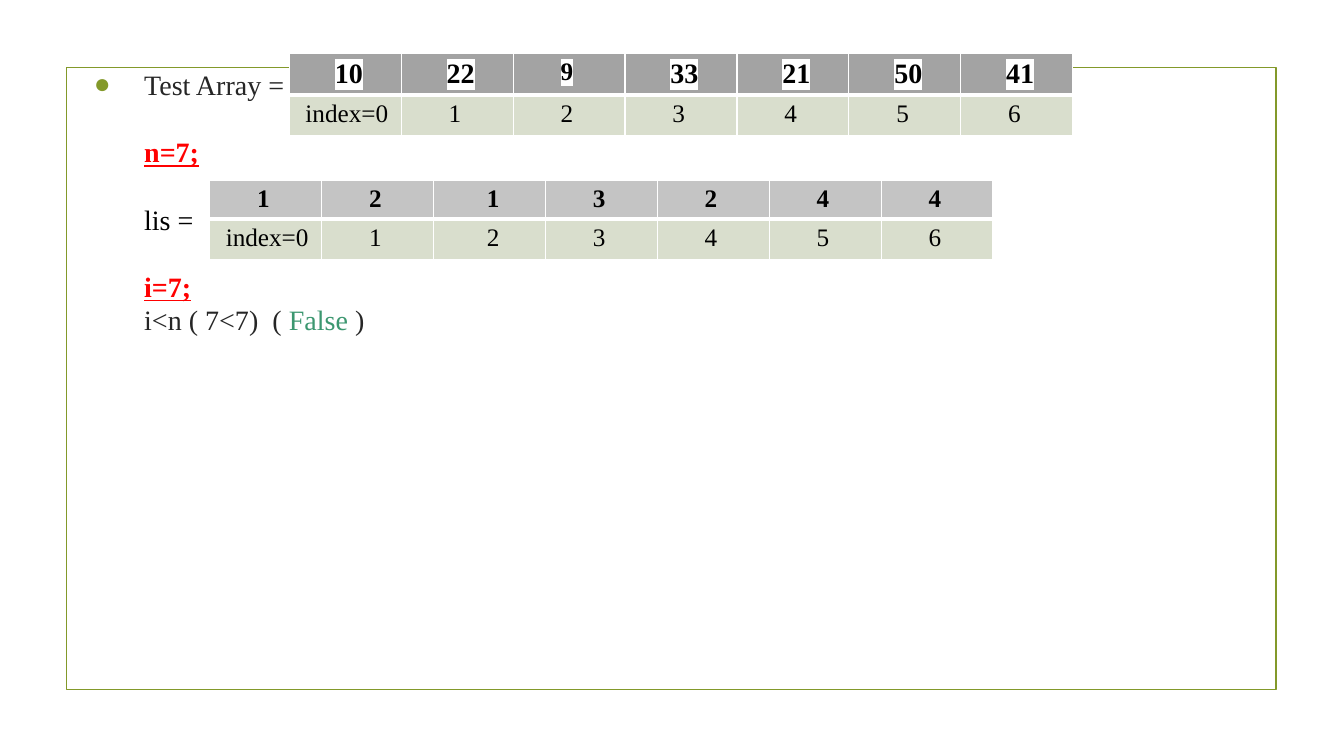
from lxml import etree
from pptx import Presentation
from pptx import util as u
from pptx.dml.color import RGBColor
from pptx.enum import shapes, text
from pptx.oxml.ns import qn

FONT = "Times New Roman"
GREEN, INK, BLACK, WHITE, RED = "83992A", "262626", "000000", "FFFFFF", "FF0000"
COLUMN, ROW = 1.11, 0.41
DIGIT_INDENT = 0.37


def color(value):
    return RGBColor.from_string(value)


def child(parent, tag, **attributes):
    return etree.SubElement(parent, qn(tag), attributes)


def add_span(para, words, size=20, ink=BLACK, bold=False, underline=False, highlight=None):
    span = para.add_run()
    span.text = words
    font = span.font
    font.size, font.bold, font.underline = u.Pt(size), bold, underline
    font.color.rgb = color(ink)
    if highlight:
        mark = child(span._r.get_or_add_rPr(), "a:highlight")
        child(mark, "a:srgbClr", val=highlight)
    font.name = FONT


def set_border(cell, side, width):
    line = child(cell._tc.get_or_add_tcPr(), "a:ln" + side, w=str(u.Pt(width)))
    child(child(line, "a:solidFill"), "a:srgbClr", val=WHITE)


def add_frame(page, left, top, width, height):
    frame = page.shapes.add_shape(shapes.MSO_SHAPE.RECTANGLE, *map(u.Inches, (left, top, width, height)))
    frame.shadow.inherit = False
    frame.fill.background()
    frame.line.color.rgb = color(GREEN)
    frame.line.width = u.Pt(1.25)


def add_steps(page, left, top, width, height):
    """Fill the body placeholder with the state of the algorithm."""
    body = page.placeholders[1]
    body.left, body.top, body.width, body.height = map(u.Inches, (left, top, width, height))
    box = body.text_frame
    box.word_wrap, box.auto_size = True, text.MSO_AUTO_SIZE.NONE
    box.vertical_anchor = text.MSO_ANCHOR.TOP
    box.margin_left = box.margin_top = box.margin_right = box.margin_bottom = u.Inches(0.13)
    key = dict(ink=RED, bold=True, underline=True)
    steps = [
        (0, [("Test Array =", dict(ink=INK))]),
        (24, [("n=7;", key)]),
        (24, [("lis =", {})]),
        (24, [("i=7;", key)]),
        (0, [("i<n ( 7<7)  ( ", dict(ink=INK)), ("False", dict(ink="3C9770")), (" )", dict(ink=INK))]),
    ]
    for number, (gap, spans) in enumerate(steps):
        para = box.add_paragraph() if number else box.paragraphs[0]
        para.line_spacing, para.space_before, para.space_after = u.Pt(24), u.Pt(gap), u.Pt(0)
        layout = para._p.get_or_add_pPr()
        layout.set("marL", str(u.Inches(0.67)))
        layout.set("indent", str(0 if number else u.Inches(-0.5)))
        if number:
            child(layout, "a:buNone")
        else:
            child(child(layout, "a:buClr"), "a:srgbClr", val=GREEN)
            child(layout, "a:buFont", typeface="Arial")
            child(layout, "a:buChar", char="●")
        for words, style in spans:
            add_span(para, words, **style)


def fill_cell(cell, words, fill, indent, bottom, marked=False, **style):
    cell.fill.solid()
    cell.fill.fore_color.rgb = color(fill)
    cell.margin_left = cell.margin_right = u.Inches(0.1)
    cell.margin_top = cell.margin_bottom = u.Inches(0.05)
    # Borders come before the fill in the cell properties.
    properties = cell._tc.get_or_add_tcPr()
    paint = properties[0]
    for side, width in zip("LRTB", (1, 1, 1, bottom)):
        set_border(cell, side, width)
    properties.append(paint)
    para = cell.text_frame.paragraphs[0]
    layout = para._p.get_or_add_pPr()
    if marked:
        child(child(layout, "a:tabLst"), "a:tab", pos=str(u.Inches(0.35)), algn="l")
        words = "\t" + words
    else:
        layout.set("marL", str(u.Inches(indent)))
        layout.set("indent", "0")
    add_span(para, words, **style)


def add_array(page, left, top, values, header_fill, header_height, wide=(), marked=False):
    """Draw values above their indexes; wide lists columns with a deeper indent."""
    count = len(values)
    frame = page.shapes.add_table(2, count, u.Inches(left), u.Inches(top),
                                  u.Inches(COLUMN * count), u.Inches(header_height + ROW))
    table = frame.table
    table.rows[0].height, table.rows[1].height = u.Inches(header_height), u.Inches(ROW)
    for index, value in enumerate(values):
        table.columns[index].width = u.Inches(COLUMN)
        indent = DIGIT_INDENT + (0.06 if index in wide else 0)
        long_mark = marked and len(value) > 1
        fill_cell(table.cell(0, index), value, header_fill, indent, 3, marked=long_mark,
                  size=20 if long_mark else 18, bold=True, highlight=WHITE if marked else None)
        label = str(index) if index else "index=0"
        fill_cell(table.cell(1, index), label, "D9DECD", indent if index else 0.06, 1, size=18)


def main():
    deck = Presentation()
    deck.slide_width, deck.slide_height = u.Inches(13.33), u.Inches(7.5)
    page = deck.slides.add_slide(deck.slide_layouts[1])
    title = page.shapes.title._element
    title.getparent().remove(title)
    add_frame(page, 0.66, 0.67, 12, 6.17)
    add_steps(page, 0.63, 0.54, 11.69, 6.56)
    add_array(page, 2.87, 0.53, ["10", "22", "9", "33", "21", "50", "41"], "A3A3A3", ROW, marked=True)
    add_array(page, 2.08, 1.79, ["1", "2", "1", "3", "2", "4", "4"], "C4C4C4", 0.38, wide=(2,))
    deck.save("out.pptx")


if __name__ == "__main__":
    main()
